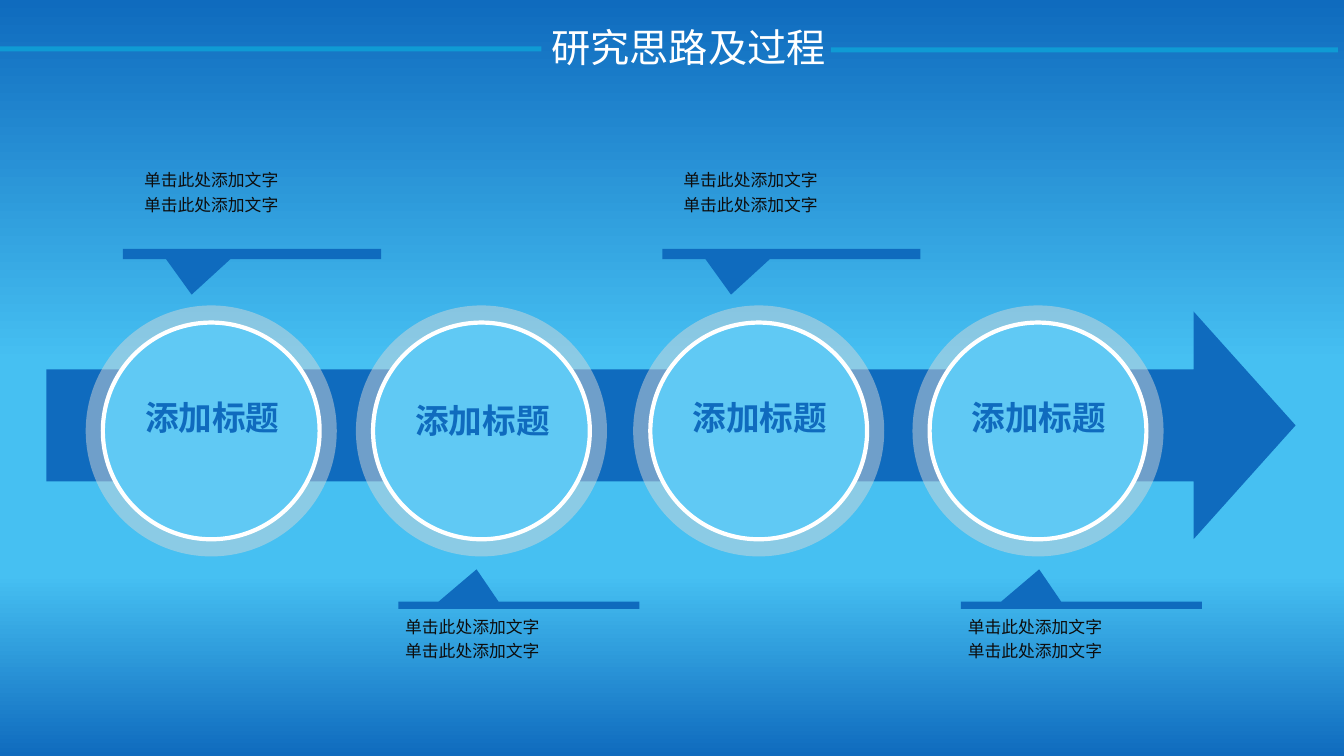
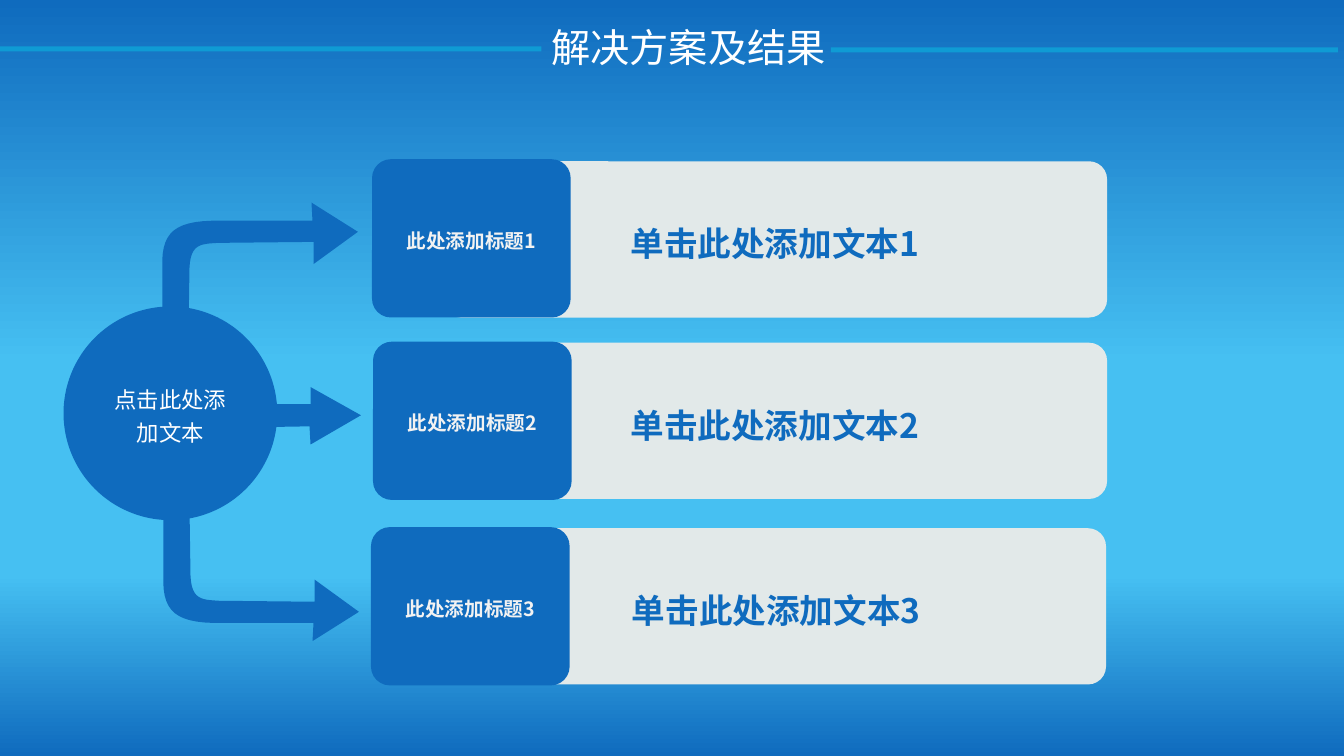
"""Build two slides: a research process arrow and a solution overview."""
from dataclasses import dataclass

from lxml import etree
from pptx import Presentation
from pptx.dml.color import RGBColor
from pptx.enum.shapes import MSO_SHAPE
from pptx.enum.text import MSO_ANCHOR, PP_ALIGN
from pptx.oxml.ns import qn
from pptx.util import Inches, Pt

RECT, OVAL, ROUND = MSO_SHAPE.RECTANGLE, MSO_SHAPE.OVAL, MSO_SHAPE.ROUNDED_RECTANGLE
ARROW, CALLOUT = MSO_SHAPE.RIGHT_ARROW, MSO_SHAPE.RECTANGULAR_CALLOUT
LEFT, CENTER = PP_ALIGN.LEFT, PP_ALIGN.CENTER
TOP, MIDDLE = MSO_ANCHOR.TOP, MSO_ANCHOR.MIDDLE


@dataclass(frozen=True)
class Theme:
    font: str = "Noto Sans CJK SC"
    latin: str = "Arial"
    blue: str = "0F6BBE"
    sky: str = "46C0F2"
    disc: str = "60C9F4"
    halo: str = "D8D8D8"
    band: str = "0F9BD4"
    plate: str = "E2E9E9"
    white: str = "FFFFFF"
    pale: str = "F2F2F2"
    ink: str = "0D0D0D"
    title: int = 28
    heading: int = 24
    hub: int = 16
    tab: int = 14
    note: int = 12


theme = Theme()


def write(tf, lines, size, color, bold=False, align=CENTER, anchor=MIDDLE,
          spacing=1.0, latin=theme.font):
    tf.word_wrap = True
    tf.vertical_anchor = anchor
    for i, line in enumerate(lines):
        p = tf.paragraphs[0] if i == 0 else tf.add_paragraph()
        p.text = line
        p.alignment = align
        p.line_spacing = spacing
        p.font.size = Pt(size)
        p.font.bold = bold
        p.font.color.rgb = RGBColor.from_string(color)
        p.font.name = latin
        props = p._p.pPr.find(qn("a:defRPr"))
        etree.SubElement(props, qn("a:ea"), typeface=theme.font)


def block(shapes, kind, box, color, adjustments=()):
    sp = shapes.add_shape(kind, *map(Inches, box))
    sp.shadow.inherit = False
    sp.fill.solid()
    sp.fill.fore_color.rgb = RGBColor.from_string(color)
    sp.line.fill.background()
    for i, value in enumerate(adjustments):
        sp.adjustments[i] = value
    return sp


prs = Presentation()
prs.slide_width, prs.slide_height = Inches(13.33), Inches(7.5)

fill = prs.slide_master.background.fill
fill.gradient()
fill.gradient_angle = 270
stops = fill._fill._gradFill.find(qn("a:gsLst"))
for stop in list(stops):
    stops.remove(stop)
for pos, color in ((0, theme.blue), (48, theme.sky), (76, theme.sky), (100, theme.blue)):
    stop = etree.SubElement(stops, qn("a:gs"), pos=str(pos * 1000))
    etree.SubElement(stop, qn("a:srgbClr"), val=color)

layout = prs.slide_layouts[5]
title = layout.placeholders[0]
title.left, title.top, title.width, title.height = map(Inches, (5.37, 0.18, 3.84, 0.57))

slides = []
for heading in ("研究思路及过程", "解决方案及结果"):
    s = prs.slides.add_slide(layout)
    write(s.shapes.title.text_frame, [heading], theme.title, theme.white, align=LEFT)
    slides.append(s)
process, solution = slides

for box in ((0, 0.46, 5.37, 0.05), (8.24, 0.47, 5.03, 0.05)):
    band = block(process.shapes, RECT, box, theme.band)
    layout.shapes._spTree.append(band._element)

block(process.shapes, ARROW, (0.46, 3.09, 12.39, 2.26), theme.blue, (0.491, 0.448))

for left, label_top in ((0.85, 3.89), (3.53, 3.92), (6.28, 3.89), (9.05, 3.89)):
    group = process.shapes.add_group_shape()
    halo = block(group.shapes, OVAL, (left, 3.03, 2.49, 2.49), theme.halo)
    halo_color = halo._element.spPr.find(qn("a:solidFill"))[0]
    etree.SubElement(halo_color, qn("a:alpha"), val="48000")
    disc = block(group.shapes, OVAL, (left + 0.17, 3.2, 2.15, 2.15), theme.disc)
    disc.line.color.rgb = RGBColor.from_string(theme.white)
    disc.line.width = Pt(3)
    label = group.shapes.add_textbox(*map(Inches, (left - 0.12, label_top, 2.75, 0.88)))
    write(label.text_frame, ["添加标题"], theme.heading, theme.blue, bold=True, anchor=TOP)

above = (2.47, 2.56, 0.1, (-0.234, 4.033), 0.11, 1.6)
below = (5.97, 2.39, 0.07, (-0.175, -5.095), -0.03, 6.03)
for left, side in ((1.22, above), (3.95, below), (6.57, above), (9.53, below)):
    top, width, height, pointer, note_shift, note_top = side
    block(process.shapes, CALLOUT, (left, top, width, height), theme.blue, pointer)
    note = process.shapes.add_textbox(
        *map(Inches, (left + note_shift, note_top, 2.38, 0.57)))
    write(note.text_frame, ["单击此处添加文字"] * 2, theme.note, theme.ink,
          align=LEFT, anchor=TOP, spacing=1.2)

bent = [(1.87, 4.36), (1.89, 5.71), (1.9, 5.95, 2, 5.95, 2.17, 5.96), (3.12, 5.97),
        (3.12, 5.75), (3.56, 6.07), (3.1, 6.36), (3.11, 6.18),
        (3.11, 6.18, 2.47, 6.18, 2.11, 6.18), (1.75, 6.17, 1.63, 6.06, 1.62, 5.79),
        (1.62, 4.33), (1.66, 4.09, 1.82, 4.12, 1.87, 4.36)]
straight = [(1.27, 4.26), (3.07, 4.23), (3.08, 4.41), (3.58, 4.12), (3.08, 3.84),
            (3.08, 4.01), (1.27, 4.01)]
STEPS = 12
for outline, mirrored in ((bent, False), (straight, False), (bent, True)):
    points = []
    for segment in outline:
        if len(segment) == 2:
            points.append(segment)
            continue
        controls = [points[-1], segment[:2], segment[2:4], segment[4:]]
        for step in range(1, STEPS + 1):
            t = step / STEPS
            weights = ((1 - t) ** 3, 3 * t * (1 - t) ** 2, 3 * t * t * (1 - t), t ** 3)
            points.append(tuple(sum(w * c[axis] for w, c in zip(weights, controls))
                                for axis in (0, 1)))
    if mirrored:
        points = [(x - 0.01, 8.37 - y) for x, y in points]
    points = [(Inches(x), Inches(y)) for x, y in points]
    builder = solution.shapes.build_freeform(*points[0])
    builder.add_line_segments(points[1:], close=True)
    sp = builder.convert_to_shape()
    sp.shadow.inherit = False
    sp.fill.solid()
    sp.fill.fore_color.rgb = RGBColor.from_string(theme.blue)
    sp.line.fill.background()

cards = ((4.39, 1.6, 6.59, 3.69, 1.58), (4.39, 3.4, 6.59, 3.7, 3.39),
         (4.43, 5.24, 6.54, 3.68, 5.23))
for number, (left, top, width, tab_left, tab_top) in enumerate(cards, 1):
    plate = block(solution.shapes, ROUND, (left, top, width, 1.55), theme.plate, (0.115,))
    write(plate.text_frame, [f"单击此处添加文本{number}"], theme.heading, theme.blue,
          bold=True, spacing=1.2)
    tab = block(solution.shapes, ROUND, (tab_left, tab_top, 1.97, 1.57), theme.blue, (0.119,))
    write(tab.text_frame, [f"此处添加标题{number}"], theme.tab, theme.pale,
          bold=True, spacing=1.2)

hub = block(solution.shapes, OVAL, (0.63, 3.04, 2.12, 2.12), theme.blue)
write(hub.text_frame, ["点击此处添加文本"], theme.hub, theme.white, spacing=1.2,
      latin=theme.latin)

prs.save("out.pptx")
